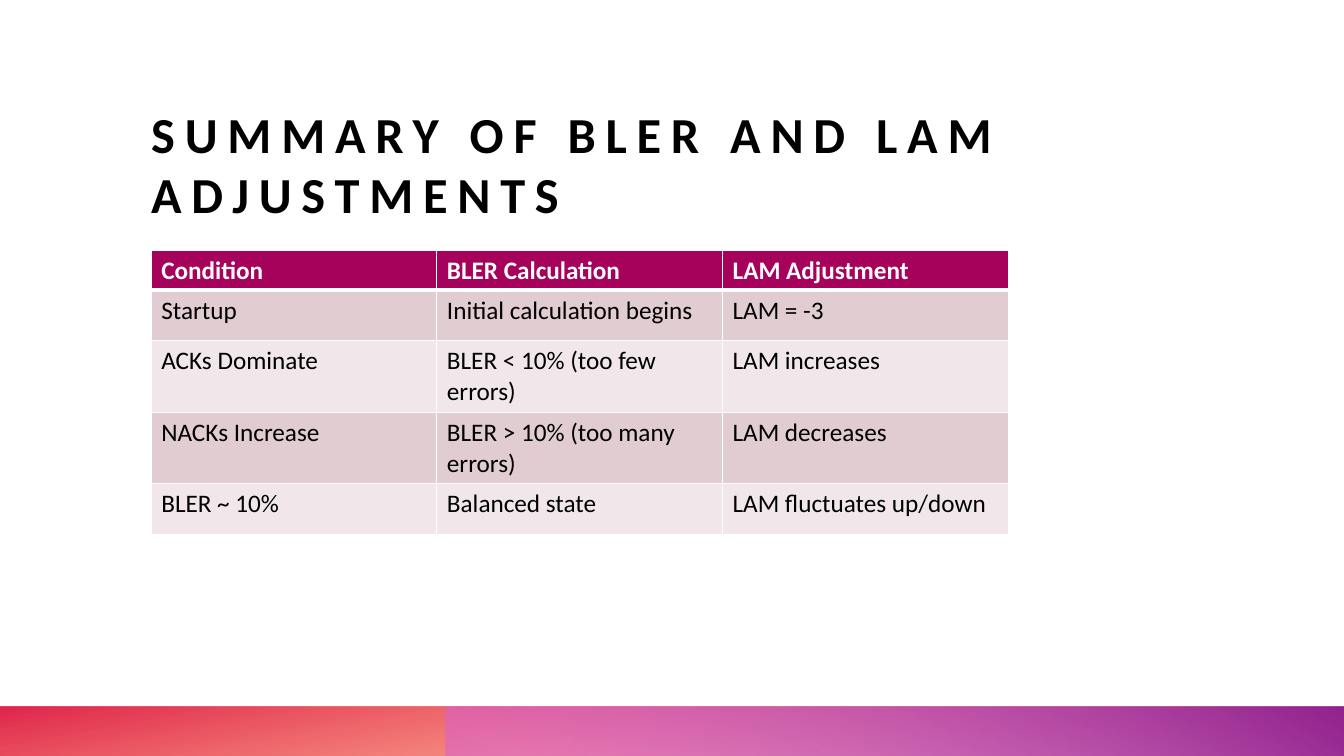
from dataclasses import dataclass

from pptx import Presentation
from pptx.dml.color import RGBColor as RGB
from pptx.enum.shapes import MSO_SHAPE as Shape
from pptx.enum.text import MSO_ANCHOR as Anchor
from pptx.oxml import parse_xml
from pptx.oxml.ns import nsdecls, qn
from pptx.util import Inches, Pt


@dataclass(frozen=True)
class Theme:
    font: str = "Calibri"
    title_size: int = 36
    title_spacing: int = 7
    table_size: int = 18
    text: str = "000000"
    header_text: str = "FFFFFF"
    border: str = "FFFFFF"
    header_fill: str = "A6025C"
    band_fills: tuple = ("E1CCD2", "F1E7EA")
    # Gradient stops: position in percent, colour, opacity in percent
    red_stops: tuple = ((14, "FE4A00", 28), (100, "DA002F", 85))
    purple_stops: tuple = ((9, "D861D4", 55), (99, "92248E", 100))


class SlideBuilder:
    def __init__(self, slide, theme):
        self.slide = slide
        self.theme = theme

    def style_run(self, run, size, color, bold):
        run.font.name = self.theme.font
        run.font.size = Pt(size)
        run.font.bold = bold
        run.font.color.rgb = RGB.from_string(color)

    def gradient_bar(self, left, width, stops, angle, rotation=0):
        shape = self.slide.shapes.add_shape(
            Shape.RECTANGLE, Inches(left), Inches(7.01), Inches(width), Inches(0.5))
        shape.shadow.inherit = False
        shape.rotation = rotation
        shape.element.spPr.find(qn("a:xfrm")).set("flipH", "1")
        shape.line.fill.background()
        shape.fill.gradient()
        shape.fill.gradient_angle = 360 - angle  # counter-clockwise
        for stop, (position, color, _) in zip(shape.fill.gradient_stops, stops):
            stop.position = position / 100
            stop.color.rgb = RGB.from_string(color)
        colors = shape.element.spPr.iter(qn("a:srgbClr"))
        for color_element, (_, _, opacity) in zip(colors, stops):
            color_element.append(parse_xml(
                f'<a:alpha {nsdecls("a")} val="{opacity * 1000}"/>'))

    def title(self, text, left, top, width, height):
        box = self.slide.shapes.add_textbox(
            Inches(left), Inches(top), Inches(width), Inches(height))
        frame = box.text_frame
        frame.word_wrap = True
        frame.vertical_anchor = Anchor.BOTTOM
        frame.margin_left = frame.margin_right = 0
        frame.margin_top = frame.margin_bottom = 0
        frame.text = text
        run = frame.paragraphs[0].runs[0]
        self.style_run(run, self.theme.title_size, self.theme.text, True)
        run.font._element.set("spc", str(self.theme.title_spacing * 100))

    def cell_borders(self, cell, widths):
        properties = cell._tc.get_or_add_tcPr()
        for side, width in zip("LRTB", widths):
            properties.append(parse_xml(
                f'<a:ln{side} {nsdecls("a")} w="{Pt(width)}"><a:solidFill>'
                f'<a:srgbClr val="{self.theme.border}"/></a:solidFill></a:ln{side}>'))

    def table(self, rows, left, top, width, heights):
        table = self.slide.shapes.add_table(
            len(rows), len(rows[0]), Inches(left), Inches(top),
            Inches(width), Inches(sum(heights))).table
        for row, height in zip(table.rows, heights):
            row.height = Inches(height)
        for row_index, values in enumerate(rows):
            header = row_index == 0
            fill = (self.theme.header_fill if header
                    else self.theme.band_fills[(row_index - 1) % 2])
            color = self.theme.header_text if header else self.theme.text
            top_width = 3 if row_index == 1 else 1
            bottom_width = 3 if header else 1
            for column_index, value in enumerate(values):
                cell = table.cell(row_index, column_index)
                self.cell_borders(cell, (1, 1, top_width, bottom_width))
                cell.fill.solid()
                cell.fill.fore_color.rgb = RGB.from_string(fill)
                cell.text_frame.text = value
                run = cell.text_frame.paragraphs[0].runs[0]
                self.style_run(run, self.theme.table_size, color, header)


def main():
    presentation = Presentation()
    presentation.slide_width = Inches(13.33)
    presentation.slide_height = Inches(7.5)
    slide = presentation.slides.add_slide(presentation.slide_layouts[6])
    theme = Theme()
    builder = SlideBuilder(slide, theme)

    # Footer band
    builder.gradient_bar(0, 13.33, theme.red_stops, 100, rotation=180)
    builder.gradient_bar(4.42, 8.92, theme.purple_stops, 240)

    # Title
    builder.title("SUMMARY OF BLER AND LAM ADJUSTMENTS", 1.5, 0.87, 11.2, 1.35)

    # Summary table
    rows = [
        ("Condition", "BLER Calculation", "LAM Adjustment"),
        ("Startup", "Initial calculation begins", "LAM = -3"),
        ("ACKs Dominate", "BLER < 10% (too few errors)", "LAM increases"),
        ("NACKs Increase", "BLER > 10% (too many errors)", "LAM decreases"),
        ("BLER ~ 10%", "Balanced state", "LAM fluctuates up/down"),
    ]
    builder.table(rows, 1.5, 2.48, 8.5, (0.4, 0.5, 0.71, 0.71, 0.5))

    presentation.save("out.pptx")


if __name__ == "__main__":
    main()
